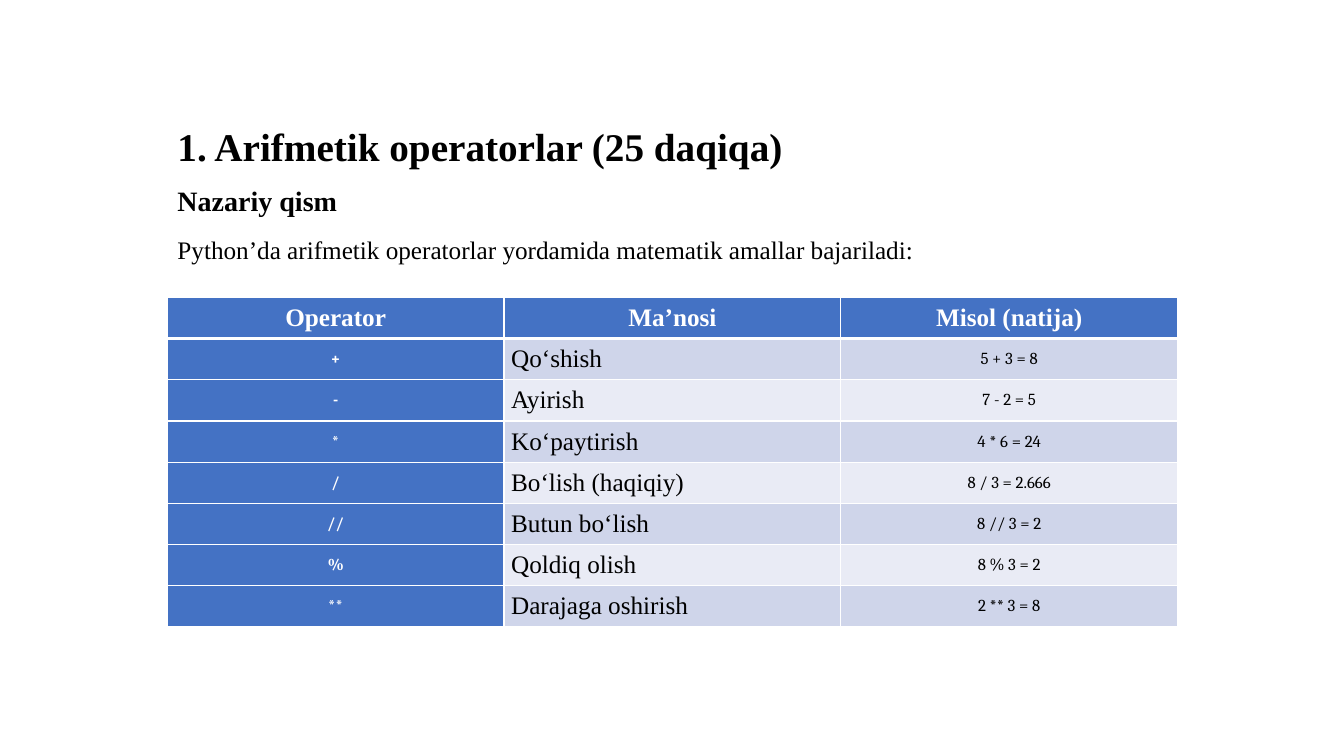
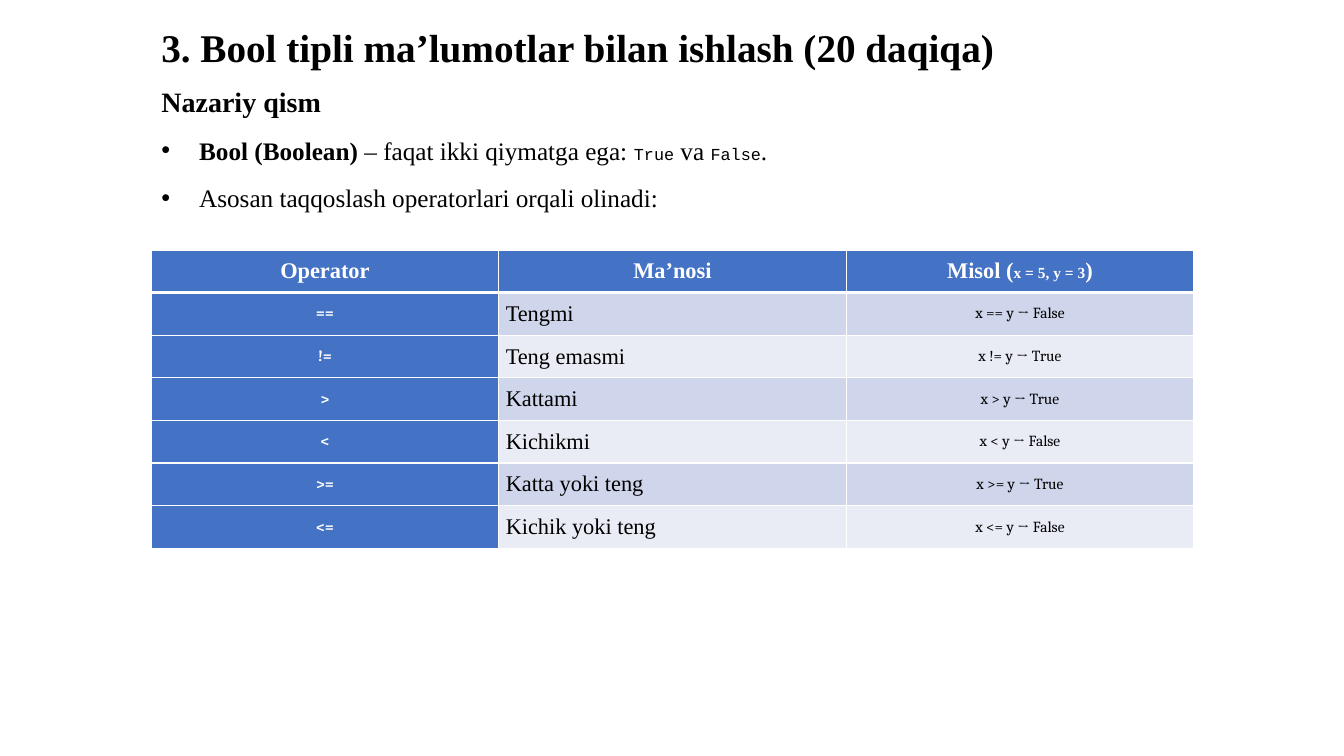
from lxml.etree import SubElement
from pptx import Presentation
from pptx.dml.color import RGBColor
from pptx.enum.text import MSO_ANCHOR, MSO_AUTO_SIZE, PP_ALIGN
from pptx.oxml.ns import qn
from pptx.util import Inches, Pt

WHITE = RGBColor(0xFF, 0xFF, 0xFF)
BLACK = RGBColor(0x00, 0x00, 0x00)
HEADER_BLUE = RGBColor(0x44, 0x72, 0xC4)
BANDS = (RGBColor(0xCF, 0xD5, 0xEA), RGBColor(0xE9, 0xEB, 0xF5))
SERIF, CODE, MONO = "Times New Roman", "Cambria", "Courier New"
TITLE_HEIGHT = 0.55
BODY_OFFSET = 0.61

# Every text is a list of runs: (text, size, font, bold)
SUBHEAD = [("Nazariy qism", 20, SERIF, True)]

LESSONS = [
    {
        "title": "1. Arifmetik operatorlar (25 daqiqa)",
        "text_box": (1.66, 1.16, 10.02, 1.55),
        "intro": [
            [("Python’da arifmetik operatorlar yordamida matematik amallar bajariladi:",
              18, SERIF, False)],
        ],
        "bulleted": False,
        "table_box": (1.66, 2.95, 10.02, 3.27),
        "word_size": 18,
        "code_size": 12,
        "example_header": [("Misol (natija)", 18, SERIF, True)],
        "operators": [
            ("+", "Qo‘shish", "5 + 3 = 8"),
            ("-", "Ayirish", "7 - 2 = 5"),
            ("*", "Ko‘paytirish", "4 * 6 = 24"),
            ("/", "Bo‘lish (haqiqiy)", "8 / 3 = 2.666"),
            ("//", "Butun bo‘lish", "8 // 3 = 2"),
            ("%", "Qoldiq olish", "8 % 3 = 2"),
            ("**", "Darajaga oshirish", "2 ** 3 = 8"),
        ],
    },
    {
        "title": "3. Bool tipli ma’lumotlar bilan ishlash (20 daqiqa)",
        "text_box": (1.5, 0.18, 10.34, 2.02),
        "intro": [
            [("Bool (Boolean)", 18, SERIF, True),
             (" – faqat ikki qiymatga ega: ", 18, SERIF, False),
             ("True", 12, MONO, False),
             (" va ", 18, SERIF, False),
             ("False", 12, MONO, False),
             (".", 18, SERIF, False)],
            [("Asosan taqqoslash operatorlari orqali olinadi:", 18, SERIF, False)],
        ],
        "bulleted": True,
        "table_box": (1.5, 2.48, 10.34, 2.96),
        "word_size": 16,
        "code_size": 11,
        "example_header": [("Misol (", 16, SERIF, True),
                           ("x = 5, y = 3", 11, SERIF, True),
                           (")", 16, SERIF, True)],
        "operators": [
            ("==", "Tengmi", "x == y → False"),
            ("!=", "Teng emasmi", "x != y → True"),
            (">", "Kattami", "x > y → True"),
            ("<", "Kichikmi", "x < y → False"),
            (">=", "Katta yoki teng", "x >= y → True"),
            ("<=", "Kichik yoki teng", "x <= y → False"),
        ],
    },
]


def write_runs(paragraph, runs, color):
    for text, size, font, bold in runs:
        run = paragraph.add_run()
        run.text = text
        run.font.size = Pt(size)
        run.font.name = font
        run.font.bold = bold
        run.font.color.rgb = color


def place(placeholder, left, top, width, height):
    """Move a placeholder and give its text the shared frame settings."""
    placeholder.left, placeholder.top = Inches(left), Inches(top)
    placeholder.width, placeholder.height = Inches(width), Inches(height)
    frame = placeholder.text_frame
    frame.word_wrap = True
    frame.auto_size = MSO_AUTO_SIZE.NONE
    frame.vertical_anchor = MSO_ANCHOR.TOP
    return frame


def remove_bullet(paragraph):
    properties = paragraph._p.get_or_add_pPr()
    properties.set("marL", "0")
    properties.set("indent", "0")
    SubElement(properties, qn("a:buNone"))


def add_heading(slide, lesson):
    left, top, width, height = lesson["text_box"]
    title = place(slide.shapes.title, left, top, width, TITLE_HEIGHT).paragraphs[0]
    title.alignment = PP_ALIGN.LEFT
    write_runs(title, [(lesson["title"], 28, SERIF, True)], BLACK)

    body = place(slide.placeholders[1], left, top + BODY_OFFSET, width, height - BODY_OFFSET)
    for index, runs in enumerate([SUBHEAD] + lesson["intro"]):
        paragraph = body.add_paragraph() if index else body.paragraphs[0]
        if index == 0 or not lesson["bulleted"]:
            remove_bullet(paragraph)
        paragraph.space_before = Pt(6 if index else 0)
        paragraph.space_after = Pt(6)
        write_runs(paragraph, runs, BLACK)


def add_borders(cell, top, bottom):
    """Draw white borders; top and bottom are widths in points."""
    properties = cell._tc.get_or_add_tcPr()
    for side, width in (("L", 1), ("R", 1), ("T", top), ("B", bottom)):
        line = SubElement(properties, qn(f"a:ln{side}"), w=str(Pt(width)))
        fill = SubElement(line, qn("a:solidFill"))
        SubElement(fill, qn("a:srgbClr"), val=str(WHITE))


def add_operator_table(slide, lesson):
    word_size, code_size = lesson["word_size"], lesson["code_size"]
    rows = [[[("Operator", word_size, SERIF, True)],
             [("Ma’nosi", word_size, SERIF, True)],
             lesson["example_header"]]]
    for operator, meaning, example in lesson["operators"]:
        rows.append([[(operator, code_size, CODE, True)],
                     [(meaning, word_size, SERIF, False)],
                     [(example, code_size, CODE, False)]])

    left, top, width, height = map(Inches, lesson["table_box"])
    table = slide.shapes.add_table(len(rows), 3, left, top, width, height).table
    for r, row in enumerate(rows):
        for c, runs in enumerate(row):
            cell = table.cell(r, c)
            is_heading = r == 0 or c == 0
            add_borders(cell, top=3 if r == 1 else 1, bottom=3 if r == 0 else 1)
            cell.fill.solid()
            cell.fill.fore_color.rgb = HEADER_BLUE if is_heading else BANDS[(r - 1) % 2]
            cell.margin_left = cell.margin_right = Inches(0.07)
            cell.margin_top = cell.margin_bottom = 0
            cell.vertical_anchor = MSO_ANCHOR.MIDDLE
            paragraph = cell.text_frame.paragraphs[0]
            paragraph.alignment = PP_ALIGN.LEFT if c == 1 and r else PP_ALIGN.CENTER
            write_runs(paragraph, runs, WHITE if is_heading else BLACK)


def main():
    presentation = Presentation()
    presentation.slide_width, presentation.slide_height = Inches(13.33), Inches(7.5)
    for lesson in LESSONS:
        slide = presentation.slides.add_slide(presentation.slide_layouts[1])
        add_heading(slide, lesson)
        add_operator_table(slide, lesson)
    presentation.save("out.pptx")


if __name__ == "__main__":
    main()
